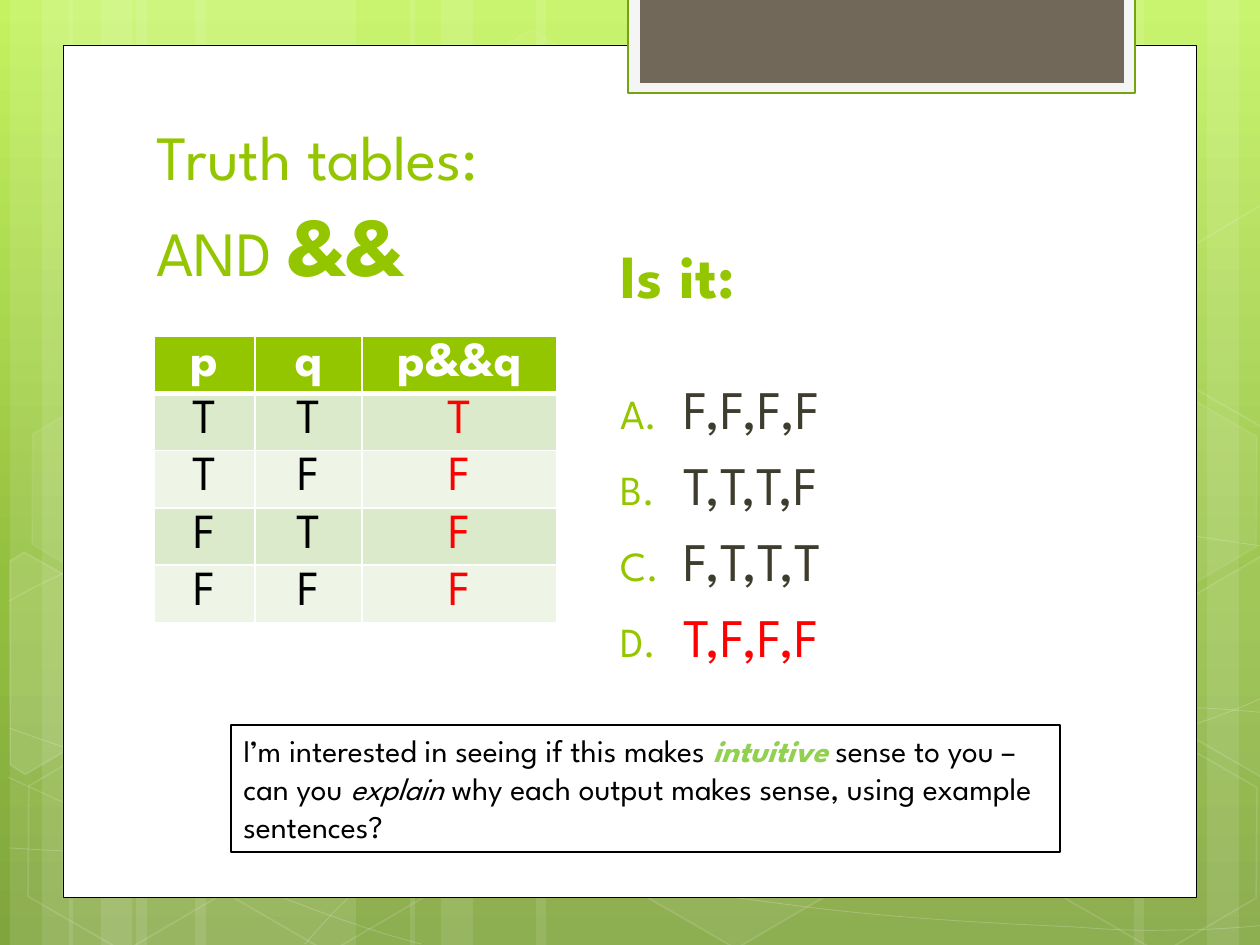
from math import cos, radians, sin
from lxml.etree import SubElement
from pptx import Presentation
from pptx.dml.color import RGBColor
from pptx.enum.shapes import MSO_SHAPE as SHAPE
from pptx.enum.text import MSO_ANCHOR as ANCHOR, PP_ALIGN as ALIGN
from pptx.oxml import parse_xml
from pptx.oxml.ns import nsdecls, qn
from pptx.util import Pt

PX = 914400 / 126
FONT = "League Spartan"
GREEN, WHITE, BLACK, RED, DARK = "94C600", "FFFFFF", "000000", "FF0000", "3E3D2D"


def paint(s, fill=None, line=None, width=1, fill_alpha=100, line_alpha=100):
    s.shadow.inherit = False
    if fill:
        s.fill.solid()
        s.fill.fore_color.rgb = RGBColor.from_string(fill)
    else:
        s.fill.background()
    if line:
        s.line.color.rgb = RGBColor.from_string(line)
        s.line.width = Pt(width)
    else:
        s.line.fill.background()
    for where, alpha in (("", fill_alpha), ("a:ln/", line_alpha)):
        for clr in s._element.xpath(f"./p:spPr/{where}a:solidFill/a:srgbClr"):
            if alpha < 100:
                SubElement(clr, qn("a:alpha"), val=str(alpha * 1000))


def write(p, text, size, color, bold=False, italic=False):
    r = p.add_run()
    r.text = text
    r.font.name = FONT
    r.font.size = Pt(size)
    r.font.bold = bold
    r.font.italic = italic
    r.font.color.rgb = RGBColor.from_string(color)


prs = Presentation()
prs.slide_width, prs.slide_height = round(1260 * PX), round(945 * PX)
slide = prs.slides.add_slide(prs.slide_layouts[6])
shapes = slide.shapes

bg = slide.background.fill
bg.gradient()
bg.gradient_angle = 270
stops = slide._element.xpath(".//p:bgPr/a:gradFill/a:gsLst")[0]
for gs in list(stops):
    stops.remove(gs)
for pos, color in ((0, "C3F35F"), (62, "93BF3F"), (100, "81A53E")):
    gs = SubElement(stops, qn("a:gs"), pos=str(pos * 1000))
    SubElement(gs, qn("a:srgbClr"), val=color)

bars = [(136, 220), (10, 63), (42, 105), (195, 220), (69, 63), (101, 105),
        (924, 220), (1207, 63), (1134, 105), (536, 388), (410, 63), (441, 105)]
for x, w in bars:
    s = shapes.add_shape(SHAPE.RECTANGLE, *[round(v * PX) for v in (x, 0, w, 945)])
    paint(s, WHITE, fill_alpha=10)

curves = [
    [(9, 848), (77, 852), (145, 856), (239, 854), (334, 853), (451, 850), (577, 838),
     (703, 825), (882, 801), (998, 777), (1113, 753), (1231, 716), (1269, 694)],
    [(9, 601), (45, 581), (82, 562), (152, 543), (224, 524), (326, 496), (437, 488),
     (549, 479), (685, 478), (824, 488), (963, 498), (1193, 537), (1269, 547)],
    [(8, 777), (160, 847), (311, 916), (421, 944)],
    [(9, 728), (48, 742), (88, 756), (161, 776), (234, 795), (344, 827), (450, 848),
     (554, 869), (687, 892), (791, 905), (896, 919), (1008, 924), (1075, 927),
     (1140, 932), (1158, 930), (1191, 930), (1223, 929), (1246, 927), (1269, 925)],
    [(305, 944), (328, 918), (350, 893), (381, 871), (411, 848), (454, 823), (489, 805),
     (524, 788), (546, 780), (592, 767), (638, 755), (722, 737), (766, 728),
     (811, 719), (818, 719), (857, 717), (896, 713), (958, 709), (1000, 708),
     (1045, 707), (1116, 708), (1116, 708), (1116, 708), (1201, 708), (1201, 708),
     (1223, 709), (1245, 711), (1256, 712), (1268, 713), (1264, 712), (1268, 713)],
]
for curve in curves:
    fb = shapes.build_freeform(*curve[0], scale=PX)
    fb.add_line_segments(curve[1:], close=False)
    s = fb.convert_to_shape()
    outline = s._element.xpath(".//a:custGeom/a:pathLst/a:path")[0]
    lines = outline.findall(qn("a:lnTo"))
    for i in range(0, len(lines), 3):
        bezier = SubElement(outline, qn("a:cubicBezTo"))
        for ln in lines[i:i + 3]:
            bezier.append(ln[0])
            outline.remove(ln)
    paint(s, None, WHITE, 0.5, line_alpha=20)

hexagons = [(421, 45, 4, 8), (626, 742, 6, 12), (14, 745, 0, 12), (18, 393, 7, 8),
            (219, 746, 0, 12), (949, 571, 10, 12), (1051, 747, 0, 12), (1051, 396, 7, 8)]
for x, y, fill_alpha, line_alpha in hexagons:
    s = shapes.add_shape(SHAPE.HEXAGON, *[round(v * PX) for v in (x, y, 220, 192)])
    s.adjustments[0] = 0.285
    s.rotation = 30
    paint(s, WHITE if fill_alpha else None, WHITE, 1, fill_alpha, line_alpha)

cut_hexagons = [
    ((45, 674), [(10, 561), (24, 552), (121, 607), (120, 718), (25, 774), (10, 765)], 10),
    ((1241, 655), [(1167, 611), (1261, 556), (1271, 562), (1271, 772), (1263, 777),
                   (1167, 722)], 4),
    ((1241, 304), [(1167, 261), (1261, 205), (1272, 212), (1271, 422), (1263, 427),
                   (1167, 372)], 0),
]
c, d = cos(radians(30)), sin(radians(30))
for (cx, cy), corners, fill_alpha in cut_hexagons:
    points = [(round(cx + (x - cx) * c + (y - cy) * d), round(cy - (x - cx) * d + (y - cy) * c))
              for x, y in corners]
    fb = shapes.build_freeform(*points[0], scale=PX)
    fb.add_line_segments(points[1:], close=True)
    s = fb.convert_to_shape()
    s.rotation = 30
    paint(s, WHITE if fill_alpha else None, WHITE, 1, fill_alpha, 12)

panels = [((63, 45, 1134, 853), WHITE, BLACK, 0.5),
          ((628, -2, 507, 95), "F5F5F5", "74A510", 1.25),
          ((640, -2, 484, 85), "71685A", None, 0)]
for box, fill, line, width in panels:
    s = shapes.add_shape(SHAPE.RECTANGLE, *[round(v * PX) for v in box])
    paint(s, fill, line, width)

title = shapes.add_textbox(*[round(v * PX) for v in (144, 142, 968, 157)])
tf = title.text_frame
tf.word_wrap = True
tf.vertical_anchor = ANCHOR.BOTTOM
p = tf.paragraphs[0]
write(p, "Truth tables:", 36, GREEN)
p.add_line_break()
write(p, "AND ", 36, GREEN)
write(p, "&&", 47.7, GREEN, bold=True)

rows = [("p", "q", "p&&q"), "TTT", "TFF", "FTF", "FFF"]
table = shapes.add_table(5, 3, *[round(v * PX) for v in (154, 336, 403, 285)]).table
for col, w in zip(table.columns, (101, 107, 195)):
    col.width = round(w * PX)
for i, row in enumerate(rows):
    table.rows[i].height = round(57 * PX)
    for j, text in enumerate(row):
        cell = table.cell(i, j)
        tc_pr = cell._tc.get_or_add_tcPr()
        for side in "LRTB":
            thick = (i, side) in ((0, "B"), (1, "T"))
            tc_pr.append(parse_xml(
                f'<a:ln{side} {nsdecls("a")} w="{Pt(3 if thick else 1)}"><a:solidFill>'
                f'<a:srgbClr val="{WHITE}"/></a:solidFill></a:ln{side}>'))
        cell.fill.solid()
        fill = GREEN if i == 0 else ("EEF5E7", "DCEACC")[i % 2]
        cell.fill.fore_color.rgb = RGBColor.from_string(fill)
        p = cell.text_frame.paragraphs[0]
        p.alignment = ALIGN.CENTER
        p.line_spacing = Pt(25.5)
        color = WHITE if i == 0 else RED if j == 2 else BLACK
        write(p, text, 28, color, bold=i == 0)

note = shapes.add_shape(SHAPE.RECTANGLE, *[round(v * PX) for v in (231, 725, 829, 127)])
paint(note, WHITE, BLACK, 1.25)
tf = note.text_frame
tf.word_wrap = True
tf.vertical_anchor = ANCHOR.TOP
p = tf.paragraphs[0]
p.alignment = ALIGN.LEFT
write(p, "I’m interested in seeing if this makes ", 18, BLACK)
write(p, "intuitive", 18, "92D050", bold=True, italic=True)
write(p, " sense to you – can you ", 18, BLACK)
write(p, "explain", 18, BLACK, italic=True)
write(p, " why each output makes sense, using example sentences?", 18, BLACK)

body = shapes.add_textbox(*[round(v * PX) for v in (599, 231, 588, 441)])
tf = body.text_frame
tf.word_wrap = True
p = tf.paragraphs[0]
p._p.get_or_add_pPr().set("marL", str(round(9 * PX)))
write(p, "Is it:", 35, GREEN, bold=True)
answers = [("F,F,F,F", DARK), ("T,T,T,F", DARK), ("F,T,T,T", DARK), ("T,F,F,F", RED)]
for i, (text, color) in enumerate(answers):
    p = tf.add_paragraph()
    p_pr = p._p.get_or_add_pPr()
    p_pr.set("marL", str(round(72 * PX)))
    p_pr.set("indent", str(round(-63 * PX)))
    SubElement(SubElement(p_pr, qn("a:buClr")), qn("a:srgbClr"), val=GREEN)
    SubElement(p_pr, qn("a:buSzPct"), val="76000")
    SubElement(p_pr, qn("a:buAutoNum"), type="alphaUcPeriod")
    p.space_before = Pt(6.2 if i else 37)
    write(p, text, 31, color)

prs.save("out.pptx")
